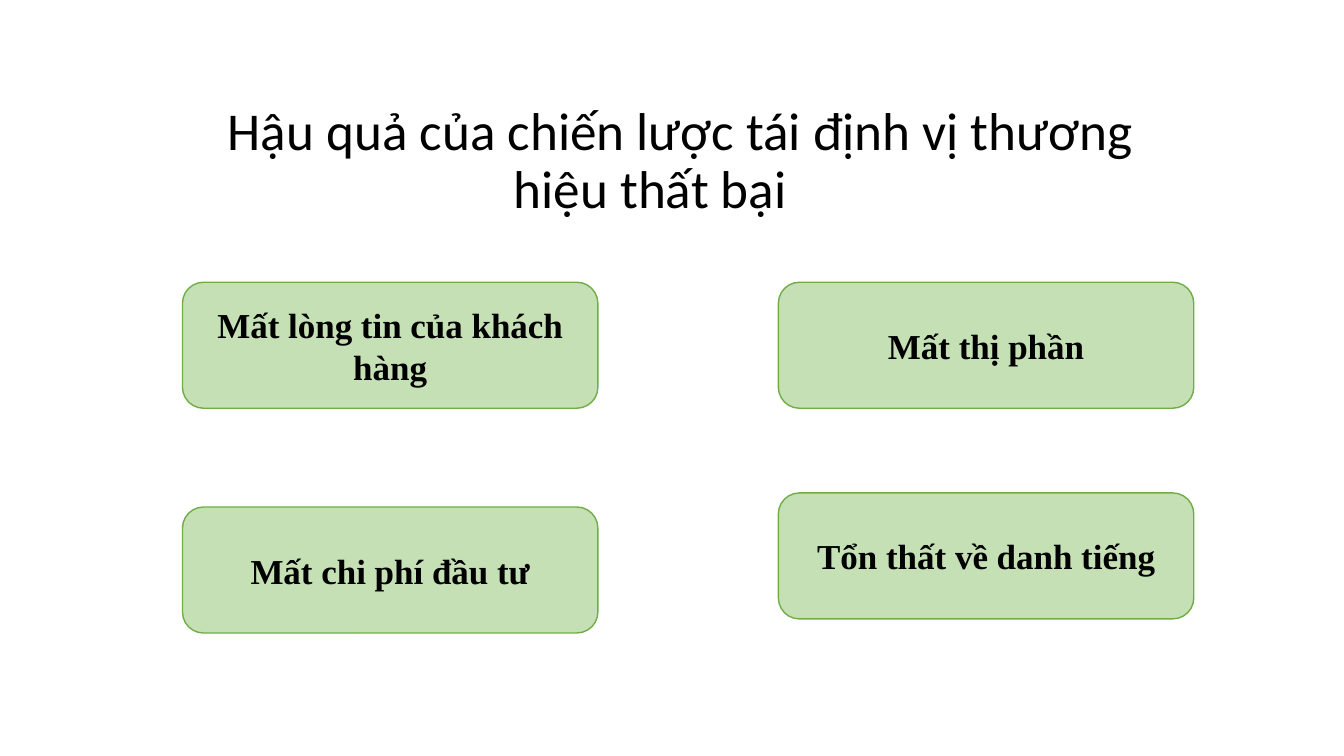
import dataclasses

import pptx
import pptx.dml.color
import pptx.enum.shapes
import pptx.enum.text
import pptx.shapes.base
import pptx.slide
import pptx.util

Inches = pptx.util.Inches


@dataclasses.dataclass(frozen=True)
class Theme:
    ink: str = "000000"
    card_fill: str = "C5E0B4"
    card_line: str = "70AD47"
    title_font: str = "Calibri"
    card_font: str = "Times New Roman"
    title_size: float = 38
    card_size: float = 25
    line_width: float = 1


@dataclasses.dataclass(frozen=True)
class Card:
    text: str
    left: float
    top: float


THEME = Theme()
CARD_WIDTH, CARD_HEIGHT = 4.12, 1.25
LEFT_COLUMN, RIGHT_COLUMN, FIRST_ROW = 1.81, 7.72, 2.8
TITLE = "Hậu quả của chiến lược tái định vị thương hiệu thất bại"
TITLE_INDENT = 0.6
CARDS = [
    Card("Mất lòng tin của khách hàng", LEFT_COLUMN, FIRST_ROW),
    Card("Mất chi phí đầu tư", LEFT_COLUMN, 5.03),
    Card("Mất thị phần", RIGHT_COLUMN, FIRST_ROW),
    Card("Tổn thất về danh tiếng", RIGHT_COLUMN, 4.89),
]


def color(value: str) -> pptx.dml.color.RGBColor:
    return pptx.dml.color.RGBColor.from_string(value)


def write(box: pptx.shapes.base.BaseShape, text: str, font: str, size: float,
          bold: bool, anchor: pptx.enum.text.MSO_ANCHOR):
    """Write one centred paragraph and return it."""
    frame = box.text_frame
    frame.word_wrap = True
    frame.auto_size = pptx.enum.text.MSO_AUTO_SIZE.NONE
    frame.vertical_anchor = anchor
    para = frame.paragraphs[0]
    para.alignment = pptx.enum.text.PP_ALIGN.CENTER
    span = para.add_run()
    span.text = text
    span.font.name = font
    span.font.size = pptx.util.Pt(size)
    span.font.bold = bold
    span.font.color.rgb = color(THEME.ink)
    return para


def add_title(page: pptx.slide.Slide) -> None:
    box = page.shapes.title
    box.left, box.top = Inches(1.05), Inches(0.98)
    box.width, box.height = Inches(10.8), Inches(1.25)
    para = write(box, TITLE, THEME.title_font, THEME.title_size, False,
                 pptx.enum.text.MSO_ANCHOR.BOTTOM)
    para.line_spacing = 0.9
    # First-line indent
    para_format = para._p.get_or_add_pPr()
    para_format.set("marL", "0")
    para_format.set("indent", str(Inches(TITLE_INDENT)))


def add_card(page: pptx.slide.Slide, card: Card) -> None:
    box = page.shapes.add_shape(
        pptx.enum.shapes.MSO_SHAPE.ROUNDED_RECTANGLE,
        Inches(card.left), Inches(card.top),
        Inches(CARD_WIDTH), Inches(CARD_HEIGHT))
    box.shadow.inherit = False
    box.fill.solid()
    box.fill.fore_color.rgb = color(THEME.card_fill)
    box.line.color.rgb = color(THEME.card_line)
    box.line.width = pptx.util.Pt(THEME.line_width)
    write(box, card.text, THEME.card_font, THEME.card_size, True,
          pptx.enum.text.MSO_ANCHOR.MIDDLE)


def main() -> None:
    # Deck and page
    deck = pptx.Presentation()
    deck.slide_width, deck.slide_height = Inches(13.33), Inches(7.5)
    page = deck.slides.add_slide(deck.slide_layouts.get_by_name("Title Only"))

    # Title and consequence cards
    add_title(page)
    for card in CARDS:
        add_card(page, card)

    deck.save("out.pptx")


if __name__ == "__main__":
    main()
